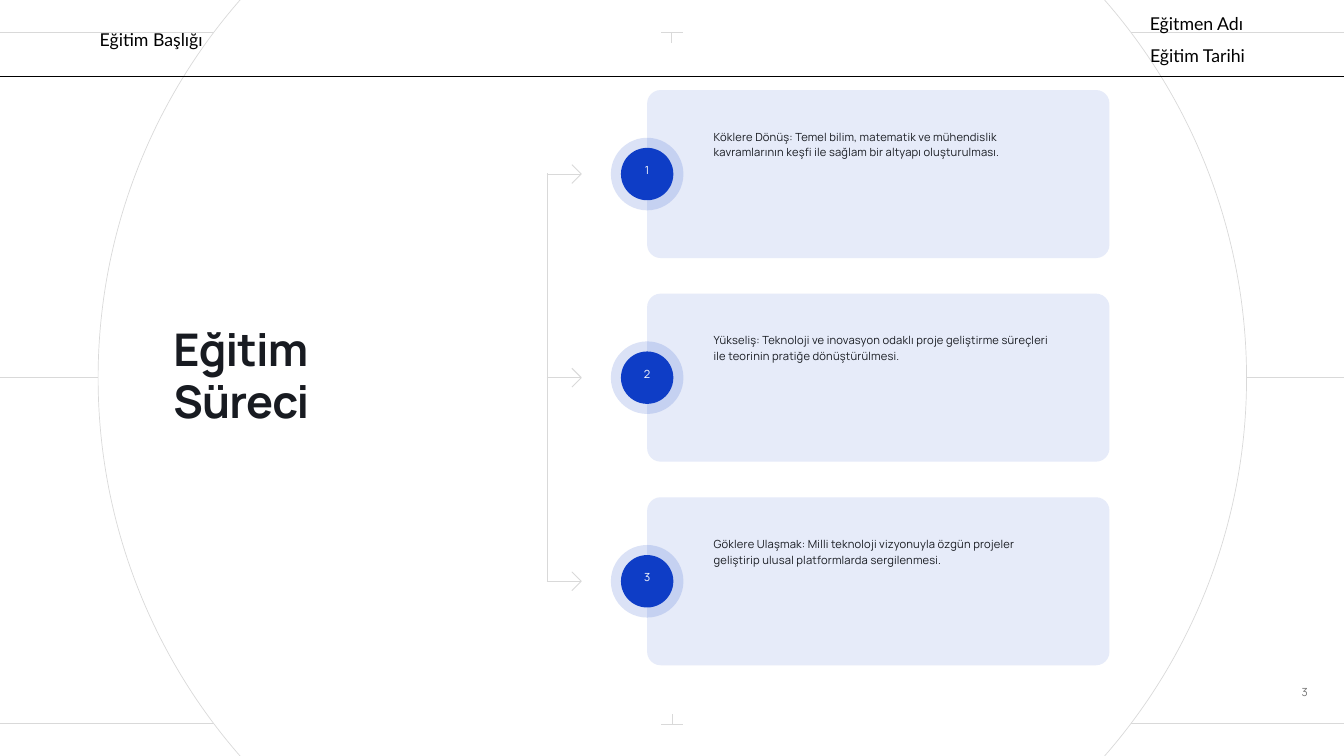
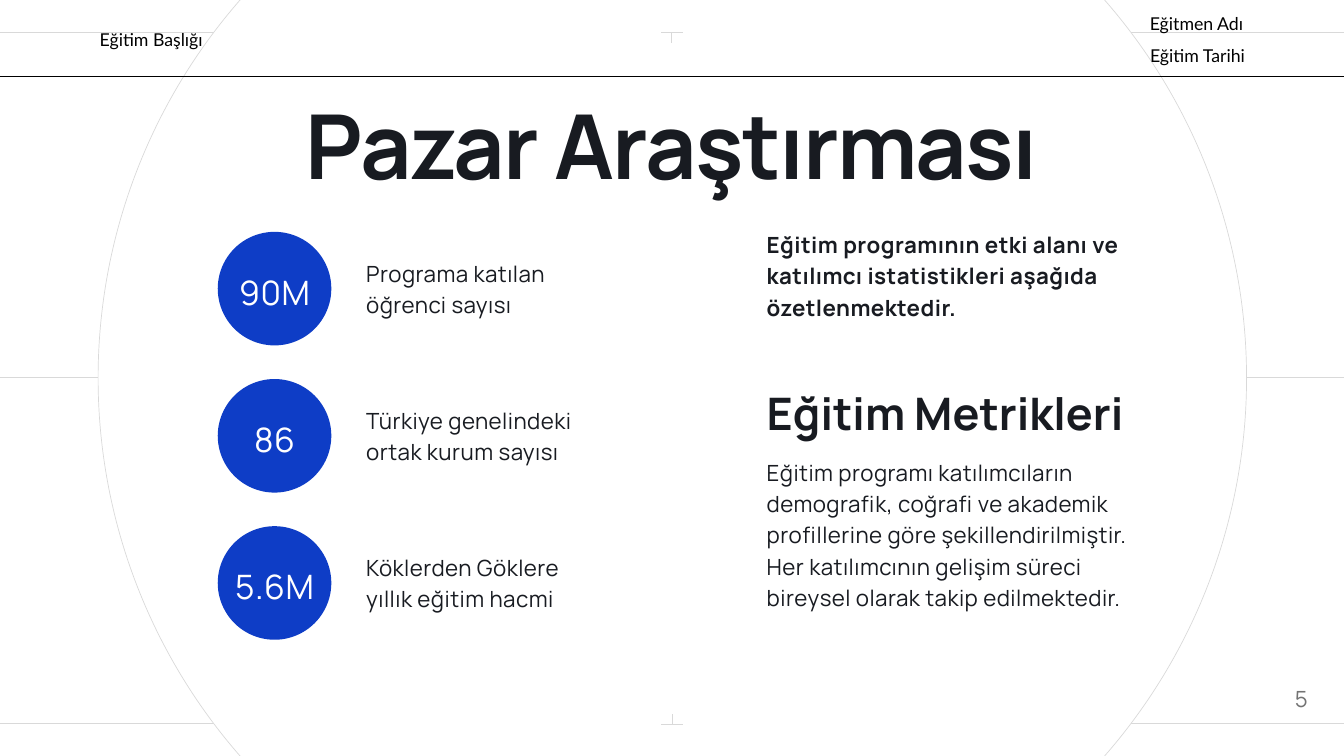
from lxml.etree import SubElement
from pptx import Presentation
from pptx.dml.color import RGBColor as RGB
from pptx.enum.shapes import MSO_CONNECTOR as LINK, MSO_SHAPE as SHAPE
from pptx.enum.text import MSO_AUTO_SIZE as FIT, PP_ALIGN as ALIGN
from pptx.oxml.ns import qn
from pptx.util import Inches, Pt

HUES = {
    "ink": "181B21",
    "blue": "0E3DC6",
    "card": "E6EBF9",
    "rule": "D9D9D9",
    "grey": "737373",
    "white": "FFFFFF",
    "black": "000000",
}
HUE = {name: RGB.from_string(code) for name, code in HUES.items()}
SIDES = {"l": ALIGN.LEFT, "c": ALIGN.CENTER, "r": ALIGN.RIGHT}


def line(slide, x1, y1, x2, y2, width=1, hue="rule"):
    link = slide.shapes.add_connector(
        LINK.STRAIGHT, Inches(x1), Inches(y1), Inches(x2), Inches(y2))
    link.line.color.rgb = HUE[hue]
    link.line.width = Pt(width)
    SubElement(link._element.spPr, qn("a:effectLst"))


def text(slide, x, y, w, h, words, size, lead, hue="ink", side="l",
         bold=False, gap=0, face="Manrope"):
    box = slide.shapes.add_textbox(Inches(x), Inches(y), Inches(w), Inches(h))
    frame = box.text_frame
    frame.word_wrap = True
    frame.auto_size = FIT.SHAPE_TO_FIT_TEXT
    frame.margin_left = frame.margin_right = 0
    frame.margin_top = frame.margin_bottom = 0
    for i, part in enumerate(words.split("\n")):
        para = frame.add_paragraph() if i else frame.paragraphs[0]
        para.alignment = SIDES[side]
        para.line_spacing = Pt(lead)
        run = para.add_run()
        run.text = part
        run.font.name = face
        run.font.size = Pt(size)
        run.font.bold = bold
        run.font.color.rgb = HUE[hue]
        run._r.get_or_add_rPr().set("spc", str(round(gap * 100)))


deck = Presentation()
deck.slide_width, deck.slide_height = Inches(20), Inches(11.25)
blank = deck.slide_layouts[6]
course, market = [deck.slides.add_slide(blank) for _ in range(2)]

# Shared frame: rules, ring, ticks and header
heads = [
    (17.09, 0.14, 1.43, "Eğitmen Adı"),
    (17.09, 0.61, 1.46, "Eğitim Tarihi"),
    (1.45, 0.37, 1.6, "Eğitim Başlığı"),
]
for slide in (course, market):
    for y in (5.62, 10.77, 0.48):
        line(slide, 0, y, 20, y, 0.75)
    ring = slide.shapes.add_shape(
        SHAPE.OVAL, Inches(1.46), Inches(-2.92), Inches(17.09), Inches(17.09))
    ring.shadow.inherit = False
    ring.fill.solid()
    ring.fill.fore_color.rgb = HUE["white"]
    ring.line.color.rgb = HUE["rule"]
    ring.line.width = Pt(0.75)
    for x, y, tip in ((10.01, 10.78, 10.62), (9.99, 0.49, 0.64)):
        line(slide, 9.84, y, 10.16, y)
        line(slide, x, y, x, tip)
    line(slide, 0, 1.13, 20, 1.13, 0.75, "black")
    for x, y, w, words in heads:
        text(slide, x, y, w, 0.34, words, 19, 26.6, "black", "c", face="Lato")

# Course steps: title and bracket
text(course, 2.58, 4.82, 5.33, 1.59, "Eğitim\nSüreci", 48.2, 55.4,
     bold=True, gap=-0.9)
line(course, 8.14, 8.65, 8.14, 2.58, 0.75)

# Course steps: cards, badges and arrows
steps = [
    "Köklere Dönüş: Temel bilim, matematik ve mühendislik kavramlarının "
    "keşfi ile sağlam bir altyapı oluşturulması.",
    "Yükseliş: Teknoloji ve inovasyon odaklı proje geliştirme süreçleri "
    "ile teorinin pratiğe dönüştürülmesi.",
    "Göklere Ulaşmak: Milli teknoloji vizyonuyla özgün projeler "
    "geliştirip ulusal platformlarda sergilenmesi.",
]
hub = 9.63
for i, words in enumerate(steps):
    mid = 5.62 + (i - 1) * 3.03
    layers = [
        (SHAPE.ROUNDED_RECTANGLE, hub, 6.88, 2.5, "card"),
        (SHAPE.OVAL, hub - 0.54, 1.08, 1.08, "blue"),
        (SHAPE.OVAL, hub - 0.39, 0.78, 0.78, "blue"),
    ]
    card, halo, dot = [], [], []
    for spot, (kind, x, w, h, hue) in zip((card, halo, dot), layers):
        item = course.shapes.add_shape(
            kind, Inches(x), Inches(mid - h / 2), Inches(w), Inches(h))
        item.shadow.inherit = False
        item.fill.solid()
        item.fill.fore_color.rgb = HUE[hue]
        item.line.fill.background()
        spot.append(item)
    card[0].adjustments[0] = 0.08
    tint = halo[0]._element.spPr.find(".//" + qn("a:srgbClr"))
    SubElement(tint, qn("a:alpha")).set("val", "15000")
    text(course, hub - 0.28, mid - 0.26, 0.56, 0.26, str(i + 1), 12, 21.6,
         "white", "c", gap=0.2)
    text(course, 10.62, mid - 0.69, 5.2, 0.46, words, 12, 16.9, gap=0.2)
    line(course, 8.14, mid, 8.65, mid)
    for rise in (-0.14, 0.14):
        line(course, 8.65, mid, 8.51, mid + rise)
text(course, 18.81, 10.09, 0.65, 0.27, "3", 12, 21.7, "grey", "r", gap=0.2)

# Market study: title and figures
text(market, 3.55, 1.4, 12.9, 1.65, "Pazar Araştırması", 95.9, 110.3,
     side="c", bold=True, gap=-1.7)
facts = [
    ("90M", "Programa katılan\nöğrenci sayısı"),
    ("86", "Türkiye genelindeki\nortak kurum sayısı"),
    ("5.6M", "Köklerden Göklere\nyıllık eğitim hacmi"),
]
for i, (sum_up, words) in enumerate(facts):
    top = 3.45 + i * 2.19
    disc = market.shapes.add_shape(
        SHAPE.OVAL, Inches(3.24), Inches(top), Inches(1.69), Inches(1.69))
    disc.shadow.inherit = False
    disc.fill.solid()
    disc.fill.fore_color.rgb = HUE["blue"]
    disc.line.fill.background()
    text(market, 3.44, top + 0.29, 1.29, 0.86, sum_up, 36, 64.8,
         "white", "c", gap=0.7)
    text(market, 5.45, top + 0.35, 4.34, 0.92, words, 23.9, 33.4, gap=0.5)

# Market study: right column
text(market, 11.41, 3.38, 5.69, 1.38,
     "Eğitim programının etki alanı ve katılımcı istatistikleri aşağıda "
     "özetlenmektedir.", 23.9, 33.4, bold=True, gap=0.5)
text(market, 11.41, 5.34, 5.69, 1.15, "Eğitim Metrikleri", 48, 86.3, bold=True)
text(market, 11.41, 6.77, 5.69, 2.76,
     "Eğitim programı katılımcıların demografik, coğrafi ve akademik "
     "profillerine göre şekillendirilmiştir. Her katılımcının gelişim süreci "
     "bireysel olarak takip edilmektedir.", 23.9, 33.4, gap=0.5)
text(market, 18.81, 10, 0.65, 0.56, "5", 23.9, 42.9, "grey", "r", gap=0.5)

deck.save("out.pptx")
